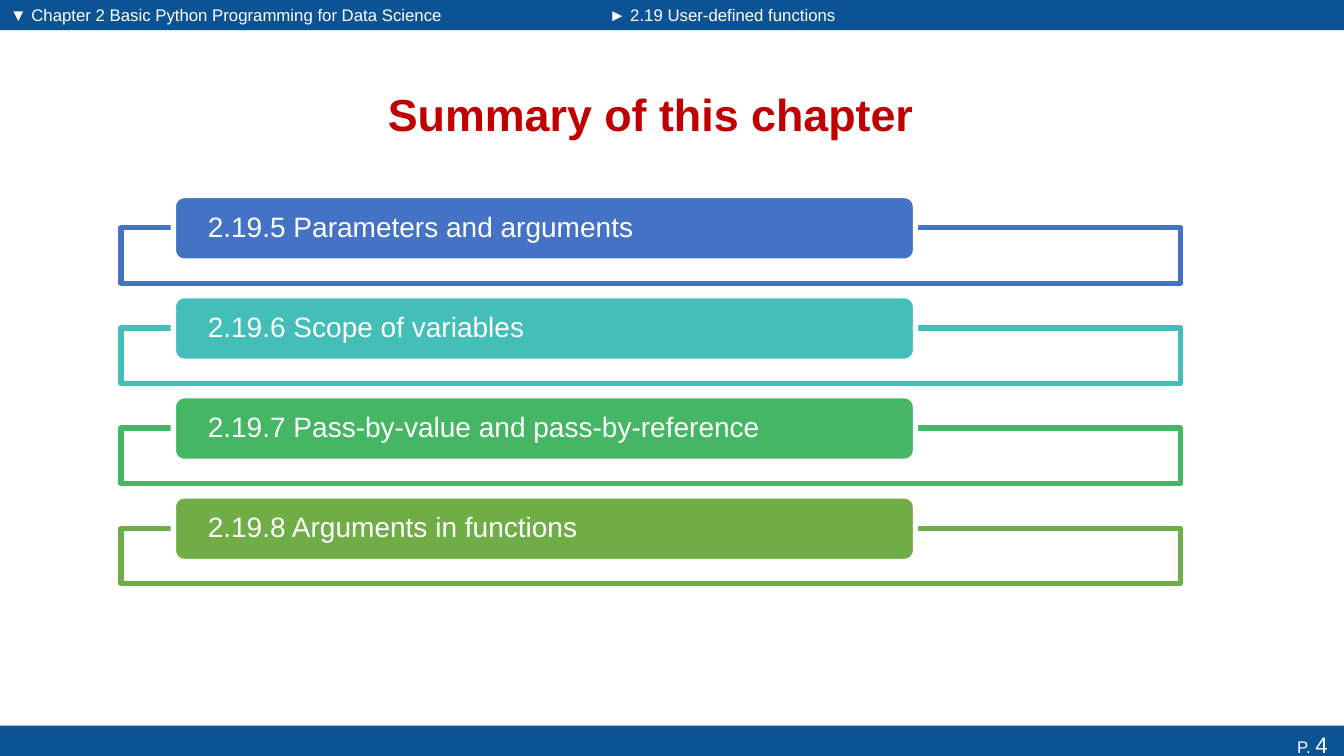
from dataclasses import dataclass

from lxml.etree import SubElement
from pptx import Presentation
from pptx.dml.color import RGBColor
from pptx.enum.shapes import MSO_SHAPE
from pptx.enum.text import MSO_ANCHOR, PP_ALIGN
from pptx.oxml.ns import qn
from pptx.shapes.autoshape import Shape
from pptx.shapes.placeholder import SlidePlaceholder
from pptx.slide import Slide
from pptx.text.text import _Paragraph as Para
from pptx.util import Inches, Pt

COLORS = {
    "white": "FFFFFF", "navy": "0B5394", "red": "C00000",
    "blue": "4472C4", "teal": "43BEB9", "green": "45B664", "olive": "70AD47",
}
STEP = 2.98 / 3


@dataclass
class Box:
    left: float
    top: float
    width: float
    height: float


@dataclass
class Topic:
    text: str
    color: str


@dataclass
class Head:
    text: str
    box: Box


BARS = [Box(0, 0, 5.93, 0.3), Box(5.93, 0, 7.4, 0.3), Box(0, 7.2, 13.33, 0.37)]
HEADS = [
    Head("▼ Chapter 2 Basic Python Programming for Data Science", Box(0, 0, 4.83, 0.29)),
    Head("► 2.19 User-defined functions", Box(5.94, 0, 2.57, 0.29)),
]
TOPICS = [
    Topic("2.19.5 Parameters and arguments", "blue"),
    Topic("2.19.6 Scope of variables", "teal"),
    Topic("2.19.7 Pass-by-value and pass-by-reference", "green"),
    Topic("2.19.8 Arguments in functions", "olive"),
]


def tint(name: str) -> RGBColor:
    return RGBColor.from_string(COLORS[name])


def add_run(para: Para, text: str, size: int, color: str = "white", bold: bool = False) -> None:
    run = para.add_run()
    run.text = text
    run.font.name = "Arial"
    run.font.size = Pt(size)
    run.font.bold = bold
    run.font.color.rgb = tint(color)


def add_box(slide: Slide, kind: MSO_SHAPE, box: Box, fill: str, line: str = "") -> Shape:
    shape = slide.shapes.add_shape(
        kind, Inches(box.left), Inches(box.top), Inches(box.width), Inches(box.height))
    shape.shadow.inherit = False
    shape.fill.solid()
    shape.fill.fore_color.rgb = tint(fill)
    if line:
        shape.line.color.rgb = tint(line)
        shape.line.width = Pt(3.78)
    else:
        shape.line.fill.background()
    return shape


def place(slide: Slide, holder: SlidePlaceholder, box: Box) -> None:
    holder.left, holder.top = Inches(box.left), Inches(box.top)
    holder.width, holder.height = Inches(box.width), Inches(box.height)
    slide.shapes._spTree.append(holder._element)


def add_head(slide: Slide, holder: SlidePlaceholder, head: Head) -> None:
    place(slide, holder, head.box)
    frame = holder.text_frame
    frame.vertical_anchor = MSO_ANCHOR.TOP
    para = frame.paragraphs[0]
    props = para._p.get_or_add_pPr()
    props.set("marL", str(Inches(0.38)))
    props.set("indent", str(Inches(-0.38)))
    SubElement(props, qn("a:buNone"))
    para.space_before = Pt(0)
    add_run(para, head.text, 12)


def add_topic(slide: Slide, topic: Topic, row: int) -> None:
    top = 1.94 + row * STEP
    back = add_box(slide, MSO_SHAPE.RECTANGLE, Box(1.2, top + 0.32, 10.51, 0.55),
                   "white", topic.color)
    shade = back._element.spPr.find(qn("a:solidFill"))[0]
    SubElement(shade, qn("a:alpha")).set("val", "90000")
    label = add_box(slide, MSO_SHAPE.ROUNDED_RECTANGLE, Box(1.72, top, 7.36, 0.65),
                    topic.color, "white")
    frame = label.text_frame
    frame.word_wrap = True
    frame.margin_left = frame.margin_right = Inches(0.31)
    frame.margin_top = frame.margin_bottom = 0
    frame.vertical_anchor = MSO_ANCHOR.MIDDLE
    para = frame.paragraphs[0]
    para.alignment = PP_ALIGN.LEFT
    para.line_spacing = 0.9
    add_run(para, topic.text, 20)


def add_page(bar: Shape) -> None:
    frame = bar.text_frame
    frame.margin_right = Inches(0.16)
    frame.vertical_anchor = MSO_ANCHOR.TOP
    para = frame.paragraphs[0]
    para.alignment = PP_ALIGN.RIGHT
    add_run(para, "P. ", 12)
    add_run(para, "4", 16)


def main() -> None:
    deck = Presentation()
    deck.slide_width, deck.slide_height = Inches(13.33), Inches(7.5)
    slide = deck.slides.add_slide(deck.slide_layouts[3])
    title, *bodies = list(slide.placeholders)
    bars = [add_box(slide, MSO_SHAPE.RECTANGLE, box, "navy") for box in BARS]
    add_page(bars[-1])
    place(slide, title, Box(2.51, 0.68, 7.89, 0.9))
    title.text_frame.vertical_anchor = MSO_ANCHOR.MIDDLE
    para = title.text_frame.paragraphs[0]
    para.alignment = PP_ALIGN.CENTER
    add_run(para, "Summary of this chapter", 32, "red", True)
    for holder, head in zip(bodies, HEADS):
        add_head(slide, holder, head)
    for row, topic in enumerate(TOPICS):
        add_topic(slide, topic, row)
    deck.save("out.pptx")


if __name__ == "__main__":
    main()
